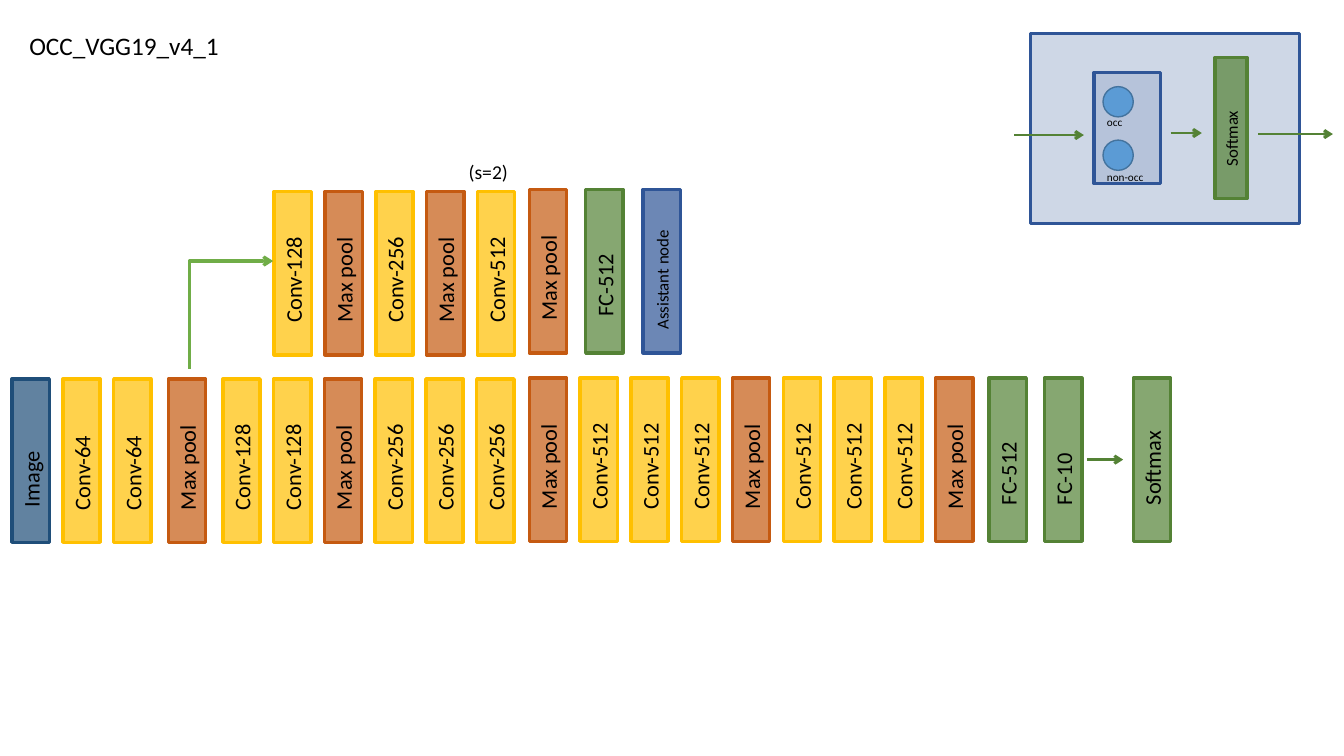
from lxml.etree import SubElement
from pptx import Presentation
from pptx.dml.color import RGBColor
from pptx.enum.shapes import MSO_CONNECTOR, MSO_SHAPE
from pptx.enum.text import MSO_ANCHOR, MSO_AUTO_SIZE, PP_ALIGN
from pptx.oxml.ns import qn
from pptx.util import Inches, Pt

BLACK = RGBColor(0x00, 0x00, 0x00)
NAVY = RGBColor(0x1F, 0x4E, 0x79)
GOLD = RGBColor(0xFF, 0xC0, 0x00)
RUST = RGBColor(0xC5, 0x5A, 0x11)
GREEN = RGBColor(0x54, 0x82, 0x35)
LIGHT_GREEN = RGBColor(0x70, 0xAD, 0x47)
BLUE = RGBColor(0x2F, 0x55, 0x97)
NODE_FILL = RGBColor(0x5B, 0x9B, 0xD5)
NODE_LINE = RGBColor(0x43, 0x73, 0x9E)

BOX_WIDTH, BOX_HEIGHT = 0.37, 1.62
PITCH = (9.28 - 5.25) / 8

LAYER_STYLES = {
    "Image": (NAVY, 0.35),
    "Conv": (GOLD, 0.32),
    "Max pool": (RUST, 0.32),
    "FC": (GREEN, 0.36),
    "Softmax": (GREEN, 0.36),
    "Assistant node": (BLUE, 0.23),
}

presentation = Presentation()
presentation.slide_width = Inches(13.33)
presentation.slide_height = Inches(7.5)
slide = presentation.slides.add_slide(presentation.slide_layouts[5])


def add_box(left, top, width, height, color, opacity, text="", size=16, indent=0):
    shape = slide.shapes.add_shape(
        MSO_SHAPE.RECTANGLE, Inches(left), Inches(top), Inches(width), Inches(height))
    shape.shadow.inherit = False
    shape.fill.solid()
    shape.fill.fore_color.rgb = color
    fill_color = shape._element.spPr.xpath("./a:solidFill/a:srgbClr")[0]
    SubElement(fill_color, qn("a:alpha"), val=str(opacity * 1000))
    shape.line.color.rgb = color
    shape.line.width = Pt(2.5)
    if text:
        frame = shape.text_frame
        frame.text = text
        frame.margin_left = frame.margin_right = frame.margin_top = frame.margin_bottom = 0
        frame.vertical_anchor = MSO_ANCHOR.MIDDLE
        frame._txBody.bodyPr.set("vert", "vert270")
        paragraph = frame.paragraphs[0]
        paragraph.alignment = PP_ALIGN.LEFT
        paragraph._p.get_or_add_pPr().set("marL", str(Inches(indent)))
        font = paragraph.runs[0].font
        font.name, font.size = "Calibri", Pt(size)
        font.color.rgb = BLACK


def add_arrow(kind, start, end, color, width):
    connector = slide.shapes.add_connector(kind, *map(Inches, start + end))
    connector.line.color.rgb = color
    connector.line.width = Pt(width)
    properties = connector._element.spPr
    SubElement(properties.find(qn("a:ln")), qn("a:tailEnd"), type="arrow")
    SubElement(properties, qn("a:effectLst"))
    return connector


title = slide.shapes.title
title.left, title.top = Inches(0.19), Inches(0.25)
title.width, title.height = Inches(8.46), Inches(0.4)
title.text_frame.text = "OCC_VGG19_v4_1"
title.text_frame.auto_size = MSO_AUTO_SIZE.NONE
title.text_frame.vertical_anchor = MSO_ANCHOR.TOP
title_paragraph = title.text_frame.paragraphs[0]
title_paragraph.alignment = PP_ALIGN.LEFT
title_font = title_paragraph.runs[0].font
title_font.name, title_font.size = "Calibri", Pt(18)
title_font.color.rgb = BLACK

layer_groups = [
    (0.12, 3.76, ["Image", "Conv-64", "Conv-64"]),
    (1.67, 3.76, ["Max pool"]),
    (2.21, 3.76, ["Conv-128"] * 2 + ["Max pool"] + ["Conv-256"] * 3),
    (5.25, 3.75, (["Max pool"] + ["Conv-512"] * 3) * 2 + ["Max pool"]),
    (9.81, 3.75, ["FC-512"]),
    (10.36, 3.75, ["FC-10"]),
    (11.24, 3.75, ["Softmax"]),
    (2.72, 1.9, ["Conv-128", "Max pool", "Conv-256", "Max pool", "Conv-512"]),
    (5.25, 1.88, ["Max pool"]),
    (5.81, 1.88, ["FC-512"]),
    (6.38, 1.88, ["Assistant node"]),
]
for group_left, top, layers in layer_groups:
    for index, layer in enumerate(layers):
        color, indent = LAYER_STYLES[layer.split("-")[0]]
        size = 12 if layer == "Assistant node" else 16
        add_box(group_left + index * PITCH, top, BOX_WIDTH, BOX_HEIGHT,
                color, 70, layer, size, indent)

branch = add_arrow(MSO_CONNECTOR.ELBOW, (1.76, 2.71), (2.83, 3.54), LIGHT_GREEN, 2.25)
branch._element.spPr.find(qn("a:prstGeom")).set("prst", "bentConnector2")
branch._element.spPr.find(qn("a:xfrm")).set("rot", str(270 * 60000))

add_box(10.22, 0.33, 2.67, 1.89, BLUE, 23)
add_box(10.85, 0.72, 0.66, 1.1, BLUE, 15)
add_box(12.05, 0.57, 0.32, 1.4, GREEN, 70, "Softmax", 12, 0.32)

for top in (0.86, 1.39):
    node = slide.shapes.add_shape(
        MSO_SHAPE.OVAL, Inches(10.94), Inches(top), Inches(0.3), Inches(0.3))
    node.shadow.inherit = False
    node.fill.solid()
    node.fill.fore_color.rgb = NODE_FILL
    node.line.color.rgb = NODE_LINE
    node.line.width = Pt(1)

for start_x, end_x, y in [(10.78, 11.14, 4.56), (10.06, 10.75, 1.34),
                          (11.61, 11.92, 1.32), (12.48, 13.22, 1.33)]:
    add_arrow(MSO_CONNECTOR.STRAIGHT, (start_x, y), (end_x, y), GREEN, 2)

for text, left, top, width, height, size in [
    ("occ", 10.88, 1.09, 0.81, 0.23, 8),
    ("non-occ", 10.88, 1.64, 1.1, 0.23, 8),
    ("(s=2)", 4.55, 1.54, 0.74, 0.34, 14),
]:
    label = slide.shapes.add_textbox(Inches(left), Inches(top), Inches(width), Inches(height))
    label.text_frame.word_wrap = True
    label.text_frame.text = text
    label_font = label.text_frame.paragraphs[0].runs[0].font
    label_font.name, label_font.size = "Calibri", Pt(size)
    label_font.color.rgb = BLACK

presentation.save("out.pptx")
